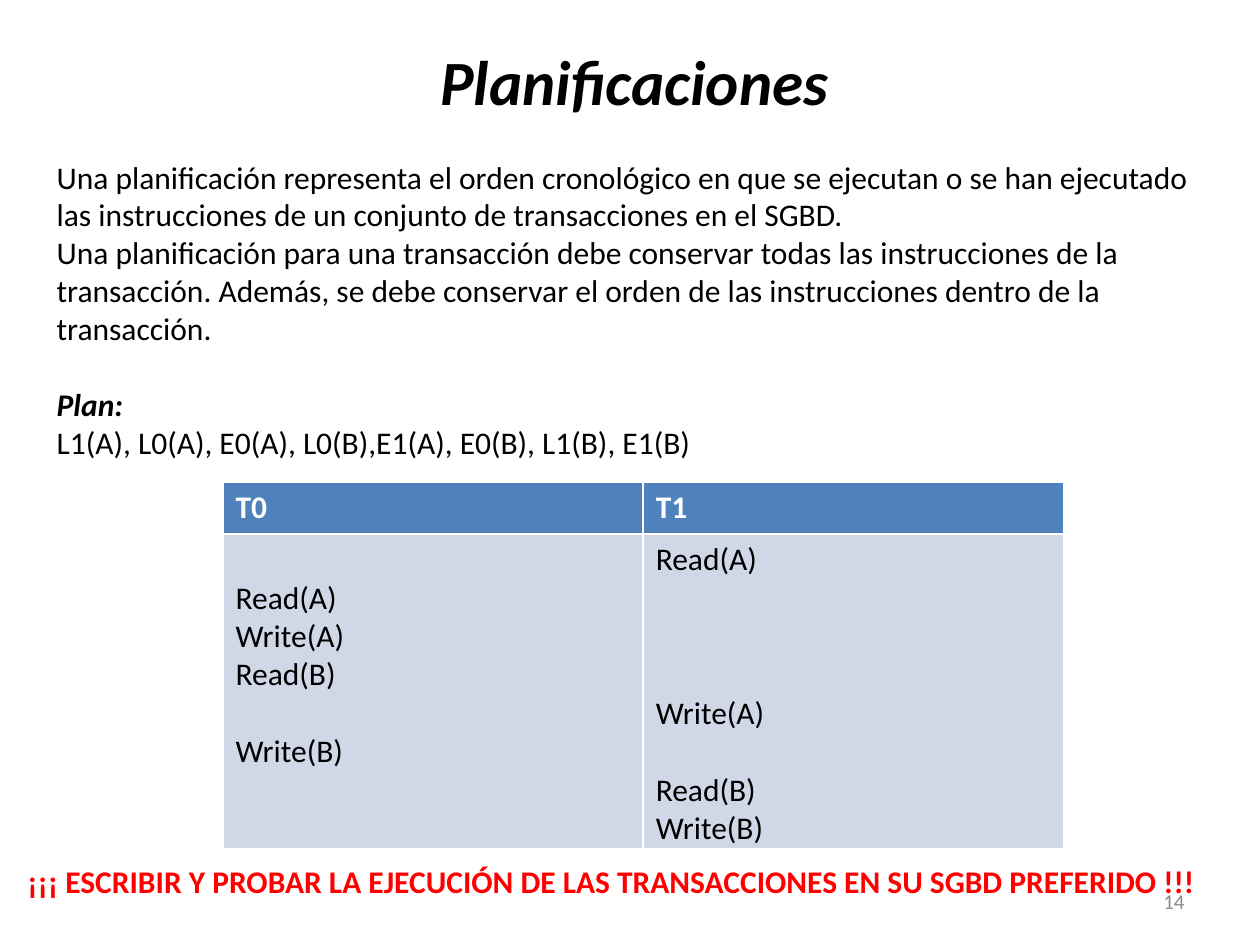
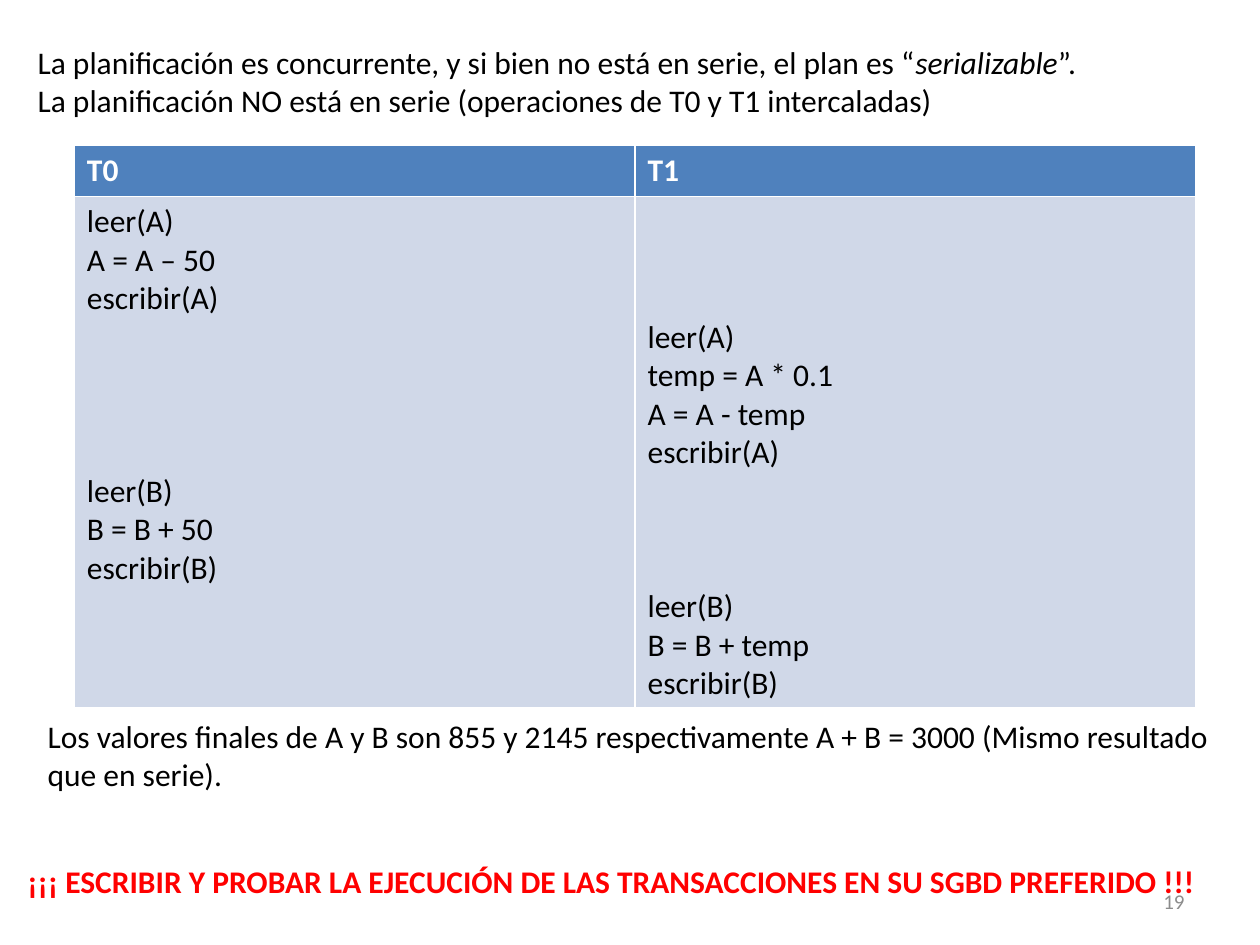
"""Two slides on transaction schedules."""
import pptx
import pptx.dml.color
import pptx.enum.text
import pptx.oxml.ns
import pptx.util
from lxml import etree

Inches = pptx.util.Inches
Pt = pptx.util.Pt
Align = pptx.enum.text.PP_ALIGN
Anchor = pptx.enum.text.MSO_ANCHOR

COLORS = {
    "text": "000000",
    "header_text": "FFFFFF",
    "header": "4F81BD",
    "cell": "D0D8E8",
    "warning": "FF0000",
    "number": "8C8C8C",
}
FONT = "Calibri"
LINE = 22
WARNING = "¡¡¡ ESCRIBIR Y PROBAR LA EJECUCIÓN DE LAS TRANSACCIONES EN SU SGBD PREFERIDO !!!"


def rgb(name):
    """Return the palette colour with this name."""
    return pptx.dml.color.RGBColor.from_string(COLORS[name])


def write(frame, text, size=18, color="text", bold=False, italic=False,
          align=Align.LEFT, gap=0, same_line=False):
    """Add text as a new paragraph, gap lines down, or to the last paragraph."""
    if same_line or not frame.text:
        paragraph = frame.paragraphs[-1]
    else:
        paragraph = frame.add_paragraph()
    if not same_line:
        paragraph.alignment = align
        paragraph.space_before = Pt(gap * LINE)
        properties = paragraph._p.get_or_add_pPr()
        properties.set("marL", "0")
        properties.set("indent", "0")
        etree.SubElement(properties, pptx.oxml.ns.qn("a:buNone"))
    run = paragraph.add_run()
    run.text = text
    run.font.name = FONT
    run.font.size = Pt(size)
    run.font.bold = bold
    run.font.italic = italic
    run.font.color.rgb = rgb(color)


class Deck:
    """Hold the presentation, its style and the current slide."""

    def __init__(self):
        """Start a 10 by 7.5 inch presentation."""
        self.presentation = pptx.Presentation()
        self.presentation.slide_width = Inches(10)
        self.presentation.slide_height = Inches(7.5)
        self.slide = None

    def new_slide(self, layout):
        """Add a slide with the named layout and make it current."""
        layouts = self.presentation.slide_layouts
        self.slide = self.presentation.slides.add_slide(layouts.get_by_name(layout))

    def place(self, index, left, top, width, height):
        """Move a placeholder and return its text frame."""
        holder = self.slide.placeholders[index]
        holder.left, holder.top = Inches(left), Inches(top)
        holder.width, holder.height = Inches(width), Inches(height)
        return self.prepare(holder.text_frame, Anchor.TOP)

    def text_box(self, left, top, width, height, anchor=Anchor.TOP):
        """Add a text box and return its text frame."""
        box = self.slide.shapes.add_textbox(
            Inches(left), Inches(top), Inches(width), Inches(height))
        return self.prepare(box.text_frame, anchor)

    def prepare(self, frame, anchor):
        """Give a text frame fixed size, wrapping and an anchor."""
        frame.auto_size = pptx.enum.text.MSO_AUTO_SIZE.NONE
        frame.word_wrap = True
        frame.vertical_anchor = anchor
        return frame

    def schedule(self, left, top, width, body_height, operations):
        """Add a table of transactions with operations given as {line: text}."""
        header_height = 0.41
        table = self.slide.shapes.add_table(
            2, len(operations), Inches(left), Inches(top), Inches(width),
            Inches(header_height + body_height)).table
        table.rows[0].height = Inches(header_height)
        table.rows[1].height = Inches(body_height)
        for column, (transaction, steps) in enumerate(operations.items()):
            header, body = table.cell(0, column), table.cell(1, column)
            for cell, fill in ((header, "header"), (body, "cell")):
                cell.fill.solid()
                cell.fill.fore_color.rgb = rgb(fill)
            write(header.text_frame, transaction, color="header_text", bold=True)
            previous = min(steps) - 1
            body.margin_top = Inches(0.05) + Pt(LINE * min(steps))
            body.margin_bottom = 0
            for line, step in steps.items():
                write(body.text_frame, step, gap=line - previous - 1)
                previous = line

    def footer(self, number):
        """Add the warning line and the slide number."""
        write(self.text_box(0.12, 6.79, 9.53, 0.4), WARNING, color="warning", bold=True)
        write(self.text_box(7.17, 6.95, 2.33, 0.4, Anchor.MIDDLE), str(number),
              size=12, color="number", align=Align.RIGHT)


def schedules_slide(deck):
    """Build the slide that defines schedules."""
    deck.new_slide("Title and Content")
    write(deck.place(0, 0.35, 0.29, 9.37, 0.75), "Planificaciones",
          size=36, bold=True, italic=True, align=Align.CENTER)
    definition = deck.place(1, 0.35, 1.2, 9.37, 2.55)
    write(definition, "Una planificación representa el orden cronológico en que se "
          "ejecutan o se han ejecutado las instrucciones de un conjunto de "
          "transacciones en el SGBD.")
    write(definition, "Una planificación para una transacción debe conservar todas las "
          "instrucciones de la transacción. Además, se debe conservar el orden de las "
          "instrucciones dentro de la transacción.")
    write(definition, "Plan:", bold=True, italic=True, gap=1)
    write(definition, "L1(A), L0(A), E0(A), L0(B),E1(A), E0(B), L1(B), E1(B)")
    deck.schedule(1.77, 3.83, 6.67, 2.5, {
        "T0": {1: "Read(A)", 2: "Write(A)", 3: "Read(B)", 5: "Write(B)"},
        "T1": {0: "Read(A)", 4: "Write(A)", 6: "Read(B)", 7: "Write(B)"},
    })
    deck.footer(14)


def serializable_slide(deck):
    """Build the slide with a serializable concurrent schedule."""
    deck.new_slide("Blank")
    deck.schedule(0.59, 1.15, 8.9, 4.06, {
        "T0": {0: "leer(A)", 1: "A = A – 50", 2: "escribir(A)",
               7: "leer(B)", 8: "B = B + 50", 9: "escribir(B)"},
        "T1": {3: "leer(A)", 4: "temp = A * 0.1", 5: "A = A - temp", 6: "escribir(A)",
               10: "leer(B)", 11: "B = B + temp", 12: "escribir(B)"},
    })
    claim = deck.text_box(0.2, 0.29, 9.69, 0.71)
    write(claim, "La planificación es concurrente, y si bien no está en serie, el plan es “")
    write(claim, "serializable", italic=True, same_line=True)
    write(claim, "”.", same_line=True)
    write(claim, "La planificación NO está en serie (operaciones de T0 y T1 intercaladas)")
    write(deck.text_box(0.28, 5.64, 9.53, 0.71),
          "Los valores finales de A y B son 855 y 2145 respectivamente A + B = 3000 "
          "(Mismo resultado que en serie).")
    deck.footer(19)


def main():
    """Build and save the presentation."""
    deck = Deck()
    schedules_slide(deck)
    serializable_slide(deck)
    deck.presentation.save("out.pptx")


if __name__ == "__main__":
    main()
